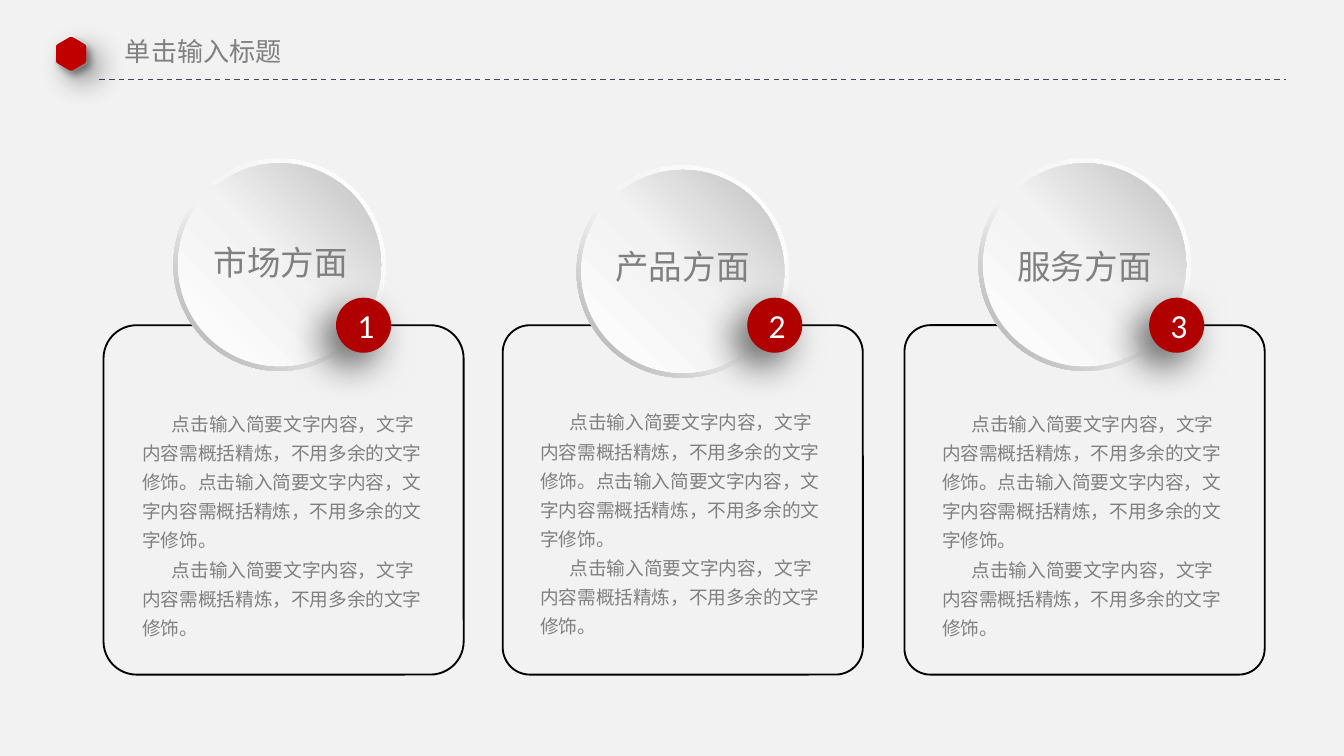
import math

import lxml.etree
import pptx
import pptx.dml.color
import pptx.enum.dml
import pptx.enum.shapes
import pptx.enum.text
import pptx.oxml.ns
import pptx.util

Inches = pptx.util.Inches
Pt = pptx.util.Pt
RGBColor = pptx.dml.color.RGBColor
SHAPE = pptx.enum.shapes.MSO_SHAPE
qn = pptx.oxml.ns.qn

BACKGROUND = RGBColor(0xF2, 0xF2, 0xF2)
WHITE = RGBColor(0xFF, 0xFF, 0xFF)
BLACK = RGBColor(0, 0, 0)
GREY = RGBColor(0x80, 0x80, 0x80)
SLATE = RGBColor(0x41, 0x44, 0x55)
RED = RGBColor(0xC0, 0, 0)
DARK_RED = RGBColor(0xB0, 0, 0)
RIM_DARK = RGBColor(0xA6, 0xA6, 0xA6)
FACE_DARK = RGBColor(0xBF, 0xBF, 0xBF)
HEX_DARK = RGBColor(0xD3, 0xD3, 0xD3)
HEX_LIGHT = RGBColor(0xF9, 0xF9, 0xF9)

CJK = "Noto Sans CJK SC"
HEADING = {"size": Pt(14), "name": CJK}
LABEL = {"size": Pt(18), "name": CJK}
BODY = {"size": Pt(10), "name": CJK}
NUMBER = {"size": Pt(18), "name": "Calibri"}

SENTENCE = "点击输入简要文字内容，文字内容需概括精炼，不用多余的文字修饰。"
PARAGRAPHS = [SENTENCE * 2, SENTENCE]

CARD_TOP, CARD_W, CARD_H = 2.42, 2.68, 2.6
DISC, FACE, BADGE = 1.58, 1.51, 0.41
# Offsets are measured from the top left corner of each card
CARDS = [
    {"left": 0.77, "label": "市场方面", "adj": 0.095, "disc": (0.52, -1.24),
     "badge_x": 1.73, "label_at": (0.72, -0.67), "text_at": (0.29, 0.6)},
    {"left": 3.74, "label": "产品方面", "adj": 0.078, "disc": (0.55, -1.19),
     "badge_x": 1.82, "label_at": (0.74, -0.64), "text_at": (0.28, 0.59)},
    {"left": 6.73, "label": "服务方面", "adj": 0.074, "disc": (0.55, -1.24),
     "badge_x": 1.82, "label_at": (0.74, -0.64), "text_at": (0.28, 0.6)},
]


def box(x, y, w, h):
    return [Inches(v) for v in (x, y, w, h)]


def add_run(p, text, color, font):
    r = p.add_run()
    r.text = text
    for name, value in font.items():
        setattr(r.font, name, value)
    r.font.color.rgb = color
    ea = lxml.etree.SubElement(r.font._element, qn("a:ea"))
    ea.set("typeface", font["name"])


def set_gradient(s, stops, angle):
    """Stops are (percent, colour); the angle runs counter-clockwise."""
    s.fill.gradient()
    s.fill.gradient_angle = angle
    gs_list = s._element.spPr.find(".//" + qn("a:gsLst"))
    for gs in list(gs_list):
        gs_list.remove(gs)
    for percent, color in stops:
        gs = lxml.etree.SubElement(gs_list, qn("a:gs"), pos=str(percent * 1000))
        lxml.etree.SubElement(gs, qn("a:srgbClr"), val=str(color))


def set_shadow(s, alpha, blur, dist, angle):
    s.shadow.inherit = False
    effects = s._element.spPr.find(qn("a:effectLst"))
    shadow = lxml.etree.SubElement(
        effects, qn("a:outerShdw"), blurRad=str(Pt(blur)), dist=str(Pt(dist)),
        dir=str(angle * 60000), algn="ctr", rotWithShape="0")
    color = lxml.etree.SubElement(shadow, qn("a:srgbClr"), val=str(BLACK))
    lxml.etree.SubElement(color, qn("a:alpha"), val=str(alpha * 1000))


def add_plain(shapes, kind, x, y, w, h):
    s = shapes.add_shape(kind, *box(x, y, w, h))
    s.shadow.inherit = False
    s.line.fill.background()
    return s


def add_hexagon(shapes, cx, cy, radius):
    """Hexagon standing on a point, with softened corners."""
    corners = [(cx + radius * math.sin(i * math.pi / 3),
                cy - radius * math.cos(i * math.pi / 3)) for i in range(6)]
    points = []
    for i, (x, y) in enumerate(corners):
        x0, y0 = corners[i - 1]
        x1, y1 = corners[(i + 1) % 6]
        for t in (0, 0.25, 0.5, 0.75, 1):
            a, b = 0.12 * (1 - t) ** 2, 0.12 * t ** 2
            points.append((Inches(x + a * (x0 - x) + b * (x1 - x)),
                           Inches(y + a * (y0 - y) + b * (y1 - y))))
    builder = shapes.build_freeform(*points[0], scale=1.0)
    builder.add_line_segments(points[1:], close=True)
    s = builder.convert_to_shape()
    s.line.fill.background()
    return s


def add_header(slide, x, y, w, h):
    # Dashed rule
    rule = slide.shapes.add_connector(
        pptx.enum.shapes.MSO_CONNECTOR.STRAIGHT,
        Inches(x + 0.35), Inches(y + h), Inches(x + w), Inches(y + h))
    rule.line.color.rgb = SLATE
    rule.line.width = Pt(0.75)
    rule.line.dash_style = pptx.enum.dml.MSO_LINE.DASH
    lxml.etree.SubElement(rule._element.spPr, qn("a:effectLst"))

    # Hexagon with a pale rim
    rim = add_hexagon(slide.shapes, x + 0.14, y + 0.19, 0.14)
    set_gradient(rim, [(0, HEX_DARK), (100, HEX_LIGHT)], 90)
    set_shadow(rim, 40, 15, 9, 45)
    core = add_hexagon(slide.shapes, x + 0.14, y + 0.19, 0.13)
    core.fill.solid()
    core.fill.fore_color.rgb = RED
    set_shadow(core, 40, 4, 3, 45)

    # Title
    title = slide.shapes.title
    title.left, title.top, title.width, title.height = box(
        x + 0.44, y, 1.38, 0.34)
    tf = title.text_frame
    tf.word_wrap = False
    tf.auto_size = pptx.enum.text.MSO_AUTO_SIZE.SHAPE_TO_FIT_TEXT
    tf.vertical_anchor = pptx.enum.text.MSO_ANCHOR.TOP
    tf.paragraphs[0].alignment = pptx.enum.text.PP_ALIGN.LEFT
    add_run(tf.paragraphs[0], "单击输入标题", GREY, HEADING)


def add_disc(slide, x, y):
    group = slide.shapes.add_group_shape()
    rim = add_plain(group.shapes, SHAPE.DONUT, x, y, DISC, DISC)
    rim.adjustments[0] = 0.049
    set_gradient(rim, [(0, WHITE), (55, BACKGROUND), (100, RIM_DARK)], 225)
    inset = (DISC - FACE) / 2
    face = add_plain(group.shapes, SHAPE.OVAL, x + inset, y + inset, FACE, FACE)
    set_gradient(face, [(0, WHITE), (51, BACKGROUND), (100, FACE_DARK)], 45)


def add_card(slide, x, y, w, h, number, card):
    # Frame
    frame = add_plain(slide.shapes, SHAPE.ROUNDED_RECTANGLE, x, y, w, h)
    frame.adjustments[0] = card["adj"]
    frame.fill.background()
    frame.line.color.rgb = BLACK
    frame.line.width = Pt(1)

    dx, dy = card["disc"]
    add_disc(slide, x + dx, y + dy)

    # Number badge, centred on the top edge
    badge = add_plain(slide.shapes, SHAPE.OVAL, x + card["badge_x"],
                      y - BADGE / 2, BADGE, BADGE)
    badge.fill.solid()
    badge.fill.fore_color.rgb = DARK_RED
    set_shadow(badge, 60, 20, 10, 135)
    tf = badge.text_frame
    tf.vertical_anchor = pptx.enum.text.MSO_ANCHOR.MIDDLE
    tf.paragraphs[0].alignment = pptx.enum.text.PP_ALIGN.CENTER
    add_run(tf.paragraphs[0], str(number), WHITE, NUMBER)

    # Label
    dx, dy = card["label_at"]
    label = slide.shapes.add_textbox(*box(x + dx, y + dy, 1.21, 0.4))
    label.text_frame.word_wrap = False
    add_run(label.text_frame.paragraphs[0], card["label"], GREY, LABEL)

    # Body text
    dx, dy = card["text_at"]
    tf = slide.shapes.add_textbox(*box(x + dx, y + dy, 2.13, 1.75)).text_frame
    tf.word_wrap = True
    for side in ("left", "top", "right", "bottom"):
        setattr(tf, "margin_" + side, 0)
    for i, text in enumerate(PARAGRAPHS):
        p = tf.add_paragraph() if i else tf.paragraphs[0]
        p.line_spacing = 1.3
        p._p.get_or_add_pPr().set("indent", str(Inches(0.22)))
        add_run(p, text, GREY, BODY)


def main():
    prs = pptx.Presentation()
    prs.slide_width = Inches(10)
    prs.slide_height = prs.slide_width * 9 // 16
    slide = prs.slides.add_slide(prs.slide_layouts[5])
    slide.background.fill.solid()
    slide.background.fill.fore_color.rgb = BACKGROUND
    add_header(slide, 0.39, 0.21, 9.18, 0.38)
    for number, card in enumerate(CARDS, 1):
        add_card(slide, card["left"], CARD_TOP, CARD_W, CARD_H, number, card)
    prs.save("out.pptx")


if __name__ == "__main__":
    main()
